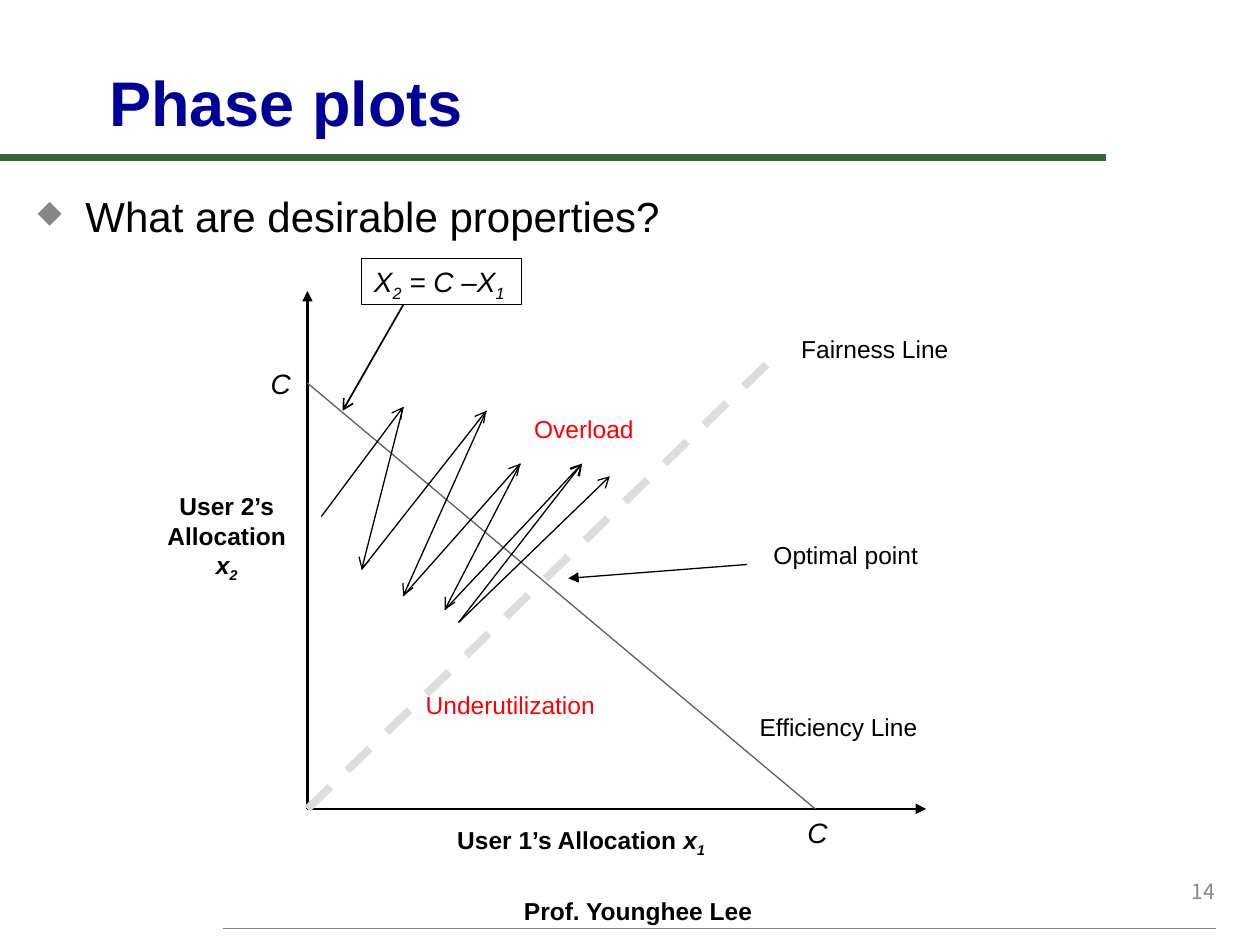
"""Build the phase plot slide on desirable properties of rate allocation."""
from dataclasses import dataclass, field
from itertools import pairwise
from typing import Any, NamedTuple

from lxml.etree import SubElement
from pptx import Presentation
from pptx.dml.color import RGBColor
from pptx.enum.dml import MSO_LINE
from pptx.enum.shapes import MSO_CONNECTOR, MSO_SHAPE
from pptx.enum.text import MSO_ANCHOR, MSO_AUTO_SIZE, PP_ALIGN
from pptx.oxml.ns import qn
from pptx.util import Emu, Pt

PIXEL = 9144
BLACK = RGBColor(0x00, 0x00, 0x00)
NAVY = RGBColor(0x00, 0x00, 0x99)
GREEN = RGBColor(0x33, 0x66, 0x33)
RED = RGBColor(0xFF, 0x00, 0x00)
DARK_GREY = RGBColor(0x5F, 0x5F, 0x5F)
GREY = RGBColor(0x86, 0x86, 0x86)
NUMBER_GREY = RGBColor(0x89, 0x89, 0x89)
LIGHT_GREY = RGBColor(0xDD, 0xDD, 0xDD)


class Point(NamedTuple):
    x: int
    y: int


class Span(NamedTuple):
    text: str
    italic: bool = False
    subscript: bool = False


@dataclass
class Line:
    start: Point
    end: Point
    width: float = 0.75
    color: RGBColor = BLACK
    arrowhead: str = ""
    dashed: bool = False


@dataclass
class Label:
    left: int
    top: int
    width: int
    height: int
    spans: list[Span]
    size: int = 14
    color: RGBColor = BLACK
    bold: bool = False
    font_name: str = "Arial"
    outlined: bool = False
    bullet: str = ""
    frame: dict[str, Any] = field(default_factory=dict)
    alignment: PP_ALIGN = PP_ALIGN.LEFT


def px(length: int) -> Emu:
    """Turn px into EMU."""
    return Emu(length * PIXEL)


def set_values(target: Any, values: dict[str, Any]) -> None:
    """Set each named attribute of the target."""
    for name, value in values.items():
        setattr(target, name, value)


def draw_line(page: Any, line: Line) -> None:
    """Draw a straight line, with an arrowhead at its end if named."""
    connector = page.shapes.add_connector(
        MSO_CONNECTOR.STRAIGHT, *(px(value) for value in (*line.start, *line.end)))
    connector.line.color.rgb = line.color
    connector.line.width = Pt(line.width)
    if line.dashed:
        connector.line.dash_style = MSO_LINE.DASH
    if line.arrowhead:
        SubElement(connector.line._get_or_add_ln(), qn("a:tailEnd"), type=line.arrowhead)
    SubElement(connector._element.spPr, qn("a:effectLst"))


def add_bullet(paragraph: Any, character: str) -> None:
    """Give the paragraph a grey hanging bullet."""
    properties = paragraph._p.get_or_add_pPr()
    set_values(properties, {"marL": px(38), "indent": px(-38)})
    for name, value in {"marL": 38, "indent": -38}.items():
        properties.set(name, str(px(value)))
    color = SubElement(properties, qn("a:buClr"))
    SubElement(color, qn("a:srgbClr"), val=str(GREY))
    SubElement(properties, qn("a:buSzPct"), val="75000")
    SubElement(properties, qn("a:buChar"), char=character)


def draw_label(page: Any, label: Label) -> None:
    """Draw a text box, or an outlined rectangle, with its spans."""
    place = [px(value) for value in (label.left, label.top, label.width, label.height)]
    if label.outlined:
        box = page.shapes.add_shape(MSO_SHAPE.RECTANGLE, *place)
        box.shadow.inherit = False
        box.fill.background()
        box.line.color.rgb = BLACK
        box.line.width = Pt(0.75)
    else:
        box = page.shapes.add_textbox(*place)
    set_values(box.text_frame, {"vertical_anchor": MSO_ANCHOR.TOP} | label.frame)
    paragraph = box.text_frame.paragraphs[0]
    paragraph.alignment = label.alignment
    if label.bullet:
        add_bullet(paragraph, label.bullet)
    for span in label.spans:
        run = paragraph.add_run()
        run.text = span.text
        set_values(run.font, {"name": label.font_name, "size": Pt(label.size),
                              "bold": label.bold, "italic": span.italic})
        run.font.color.rgb = label.color
        if span.subscript:
            run.font._element.set("baseline", "-25000")


FIXED = {"word_wrap": True, "auto_size": MSO_AUTO_SIZE.NONE}
GROWING = {"word_wrap": True, "auto_size": MSO_AUTO_SIZE.SHAPE_TO_FIT_TEXT}
UNWRAPPED = GROWING | {"word_wrap": False}

ORIGIN = Point(244, 642)
VALLEY = Point(364, 494)
ZIGZAG = [Point(255, 410), Point(320, 323), Point(287, 452), Point(386, 326),
          Point(320, 473), Point(413, 368), Point(353, 484), Point(462, 368)]

LINES = [
    Line(Point(0, 125), Point(878, 125), 4, GREEN),
    Line(Point(177, 737), Point(965, 737), 1, GREY),
    Line(ORIGIN, Point(244, 231), 1.5, arrowhead="triangle"),
    Line(ORIGIN, Point(735, 642), 1.5, arrowhead="triangle"),
    Line(Point(244, 304), Point(647, 642), color=DARK_GREY),
    Line(ORIGIN, Point(615, 283), 4.5, LIGHT_GREY, dashed=True),
    Line(Point(593, 448), Point(451, 459), arrowhead="triangle"),
    *(Line(start, end, arrowhead="arrow") for start, end in pairwise(ZIGZAG)),
    *(Line(VALLEY, end, arrowhead="arrow") for end in (ZIGZAG[-1], Point(484, 378))),
    Line(Point(320, 242), Point(272, 326), 1, arrowhead="arrow"),
]

LABELS = [
    Label(77, 44, 815, 71, [Span("Phase plots")], 36, NAVY, True,
          frame=FIXED | {"vertical_anchor": MSO_ANCHOR.BOTTOM}),
    Label(20, 146, 892, 492, [Span("What are desirable properties?")], 24,
          bullet="◆", frame=FIXED),
    Label(406, 706, 208, 33, [Span("Prof. Younghee Lee")], bold=True, frame=GROWING),
    Label(766, 682, 208, 50, [Span("14")], 12, NUMBER_GREY,
          font_name="Noto Sans CJK KR", alignment=PP_ALIGN.RIGHT,
          frame=FIXED | {"vertical_anchor": MSO_ANCHOR.MIDDLE}),
    Label(593, 560, 146, 34, [Span("Efficiency Line")], frame=UNWRAPPED),
    Label(626, 260, 138, 34, [Span("Fairness Line")], frame=UNWRAPPED),
    Label(604, 424, 136, 34, [Span("Optimal point")], frame=UNWRAPPED),
    Label(414, 324, 100, 34, [Span("Overload")], color=RED, frame=UNWRAPPED),
    Label(328, 543, 155, 34, [Span("Underutilization")], color=RED, frame=UNWRAPPED),
    Label(353, 650, 219, 34,
          [Span("User 1’s Allocation "), Span("x", True), Span("1", True, True)],
          bold=True, frame=UNWRAPPED),
    Label(113, 385, 134, 81,
          [Span("User 2’s Allocation "), Span("x", True), Span("2", True, True)],
          bold=True, frame=GROWING, alignment=PP_ALIGN.CENTER),
    Label(287, 205, 127, 37,
          [Span("X", True), Span("2", True, True), Span(" = C –X", True),
           Span("1", True, True)], 16, outlined=True, frame=UNWRAPPED),
    *(Label(left, top, 36, 37, [Span("C", True)], 16, frame=UNWRAPPED)
      for left, top in ((205, 286), (631, 642))),
]


def main() -> None:
    """Build and save the deck."""
    deck = Presentation()
    set_values(deck, {"slide_width": px(1000), "slide_height": px(750)})
    page = deck.slides.add_slide(deck.slide_layouts[6])
    for line in LINES:
        draw_line(page, line)
    for label in LABELS:
        draw_label(page, label)
    deck.save("out.pptx")


if __name__ == "__main__":
    main()
